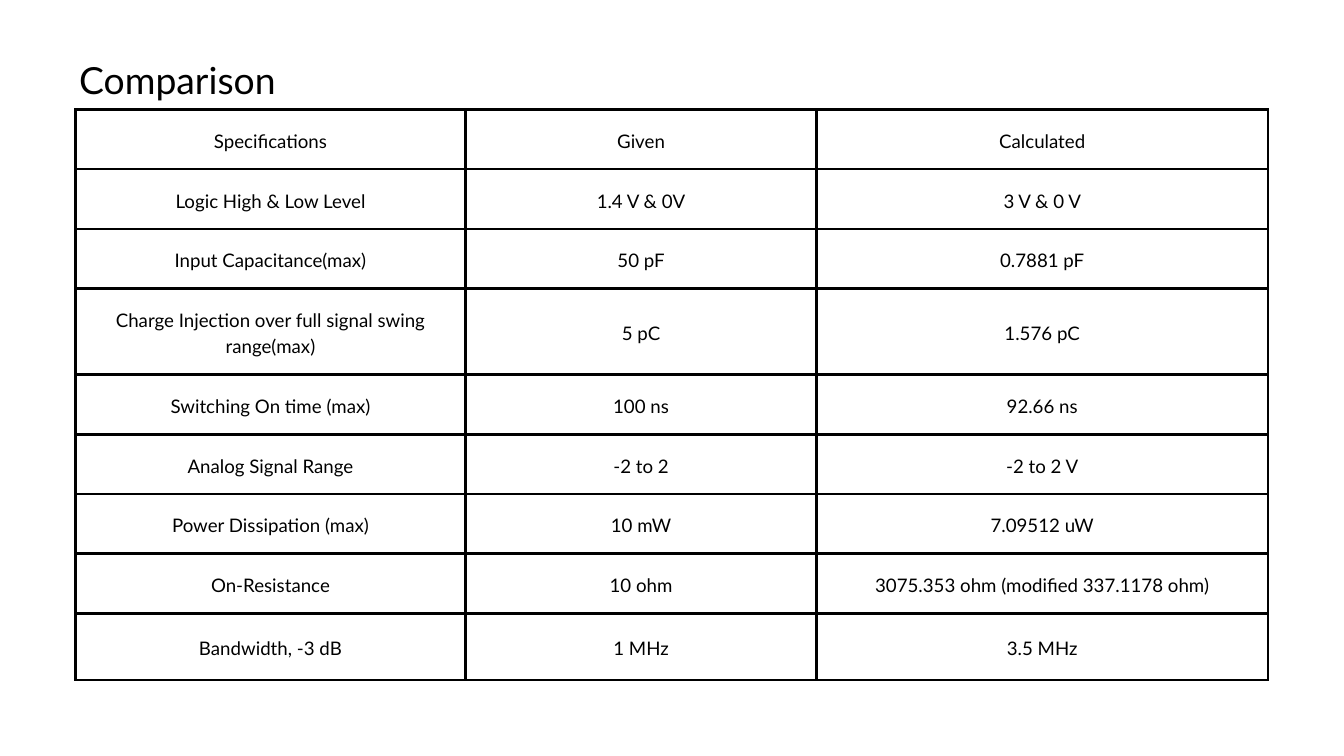
import pptx
import pptx.dml.color
import pptx.enum.text
import pptx.oxml.ns
import pptx.util
from dataclasses import dataclass
from lxml import etree

Inches = pptx.util.Inches
Pt = pptx.util.Pt


@dataclass(frozen=True)
class Theme:
    font: str = "Lato"
    ink: str = "000000"
    title: int = 40
    body: int = 20
    lead: float = 1.4
    line: int = 3


THEME = Theme()

ROWS = [
    ("Specifications", "Given", "Calculated"),
    ("Logic High & Low Level", "1.4 V & 0V", "3 V & 0 V"),
    ("Input Capacitance(max)", "50 pF", "0.7881 pF"),
    ("Charge Injection over full signal swing range(max)", "5 pC", "1.576 pC"),
    ("Switching On time (max)", "100 ns", "92.66 ns"),
    ("Analog Signal Range", "-2 to 2", "-2 to 2 V"),
    ("Power Dissipation (max)", "10 mW", "7.09512 uW"),
    ("On-Resistance", "10 ohm", "3075.353 ohm (modified 337.1178 ohm)"),
    ("Bandwidth, -3 dB", "1 MHz", "3.5 MHz"),
]
WIDTHS = [5.81, 5.22, 6.72]
HEIGHTS = [0.89] * 3 + [1.28] + [0.89] * 4 + [0.99]


def write(frame, text, *, size, color=THEME.ink):
    frame.word_wrap = True
    para = frame.paragraphs[0]
    para.alignment = pptx.enum.text.PP_ALIGN.CENTER
    para.line_spacing = Pt(size * THEME.lead)
    run = para.add_run()
    run.text = text
    run.font.name = THEME.font
    run.font.size = Pt(size)
    run.font.color.rgb = pptx.dml.color.RGBColor.from_string(color)


def pad(item, inset):
    item.margin_left = item.margin_right = Inches(inset)
    item.margin_top = item.margin_bottom = Inches(inset)


def border(cell):
    props = cell._tc.get_or_add_tcPr()
    qn = pptx.oxml.ns.qn
    for side in "LRTB":
        line = etree.SubElement(props, qn(f"a:ln{side}"), w=str(Pt(THEME.line)))
        fill = etree.SubElement(line, qn("a:solidFill"))
        etree.SubElement(fill, qn("a:srgbClr"), val=THEME.ink)


def heading(slide, left, top, width, height):
    box = slide.shapes.add_textbox(*map(Inches, (left, top, width, height)))
    pad(box.text_frame, 0)
    write(box.text_frame, "Comparison", size=THEME.title)


def grid(slide, left, top, width, height):
    frame = slide.shapes.add_table(
        len(ROWS), len(WIDTHS), *map(Inches, (left, top, width, height)))
    table = frame.table
    table.first_row = table.horz_banding = False
    for col, size in zip(table.columns, WIDTHS):
        col.width = Inches(size * width / sum(WIDTHS))
    for row, size, texts in zip(table.rows, HEIGHTS, ROWS):
        row.height = Inches(size * height / sum(HEIGHTS))
        for cell, text in zip(row.cells, texts):
            border(cell)
            cell.fill.background()
            pad(cell, 0.21)
            cell.vertical_anchor = pptx.enum.text.MSO_ANCHOR.MIDDLE
            write(cell.text_frame, text, size=THEME.body)


def main():
    deck = pptx.Presentation()
    deck.slide_width = Inches(20)
    deck.slide_height = Inches(11.25)
    slide = deck.slides.add_slide(deck.slide_layouts[6])
    grid(slide, 1.12, 1.63, 17.75, 8.49)
    heading(slide, 1.12, 0.74, 3.04, 0.76)
    deck.save("out.pptx")


if __name__ == "__main__":
    main()
